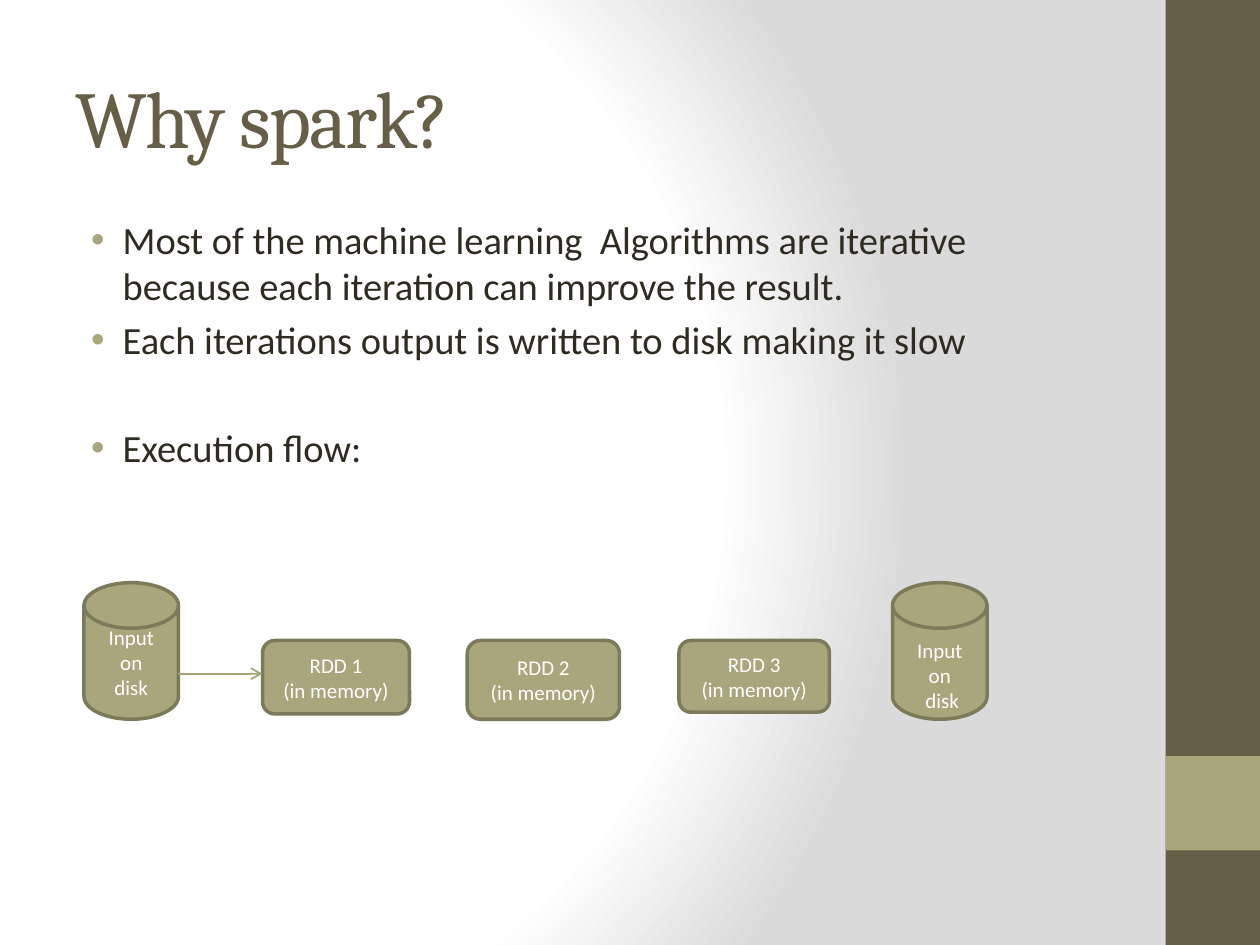
from lxml import etree
from pptx import Presentation
from pptx import util as u
from pptx.dml.color import RGBColor
from pptx.enum import shapes, text
from pptx.oxml import parse_xml
from pptx.oxml.ns import nsdecls, qn

BROWN, SAGE, EDGE, INK, WHITE = "675E47", "A9A57C", "7D7A5C", "2F2B20", "FFFFFF"


def color(value):
    return RGBColor.from_string(value)


def add_background(s):
    stops = "".join(
        f'<a:gs pos="{pos * 1000}"><a:srgbClr val="{c}"/></a:gs>'
        for pos, c in [(0, WHITE), (75, WHITE), (100, "DADADA")])
    bg = parse_xml(
        f'<p:bg {nsdecls("p", "a")}><p:bgPr><a:gradFill rotWithShape="1">'
        f'<a:gsLst>{stops}</a:gsLst><a:path path="circle">'
        '<a:fillToRect l="20000" t="50000" r="100000" b="50000"/></a:path>'
        '</a:gradFill><a:effectLst/></p:bgPr></p:bg>')
    s.element.cSld.insert(0, bg)


def style(p, name, size, c):
    for r in p.runs:
        r.font.name = name
        r.font.size = u.Pt(size)
        r.font.color.rgb = color(c)


def add_shape(s, kind, box, fill, line=None):
    sp = s.shapes.add_shape(kind, *map(u.Pt, box))
    sp.shadow.inherit = False
    sp.fill.solid()
    sp.fill.fore_color.rgb = color(fill)
    if line:
        sp.line.color.rgb = color(line)
        sp.line.width = u.Pt(2)
    else:
        sp.line.fill.background()
    return sp


def add_node(s, kind, box, lines, top_inset=3.6):
    sp = add_shape(s, kind, box, SAGE, EDGE)
    tf = sp.text_frame
    tf.word_wrap = True
    tf.margin_top = u.Pt(top_inset)
    tf.vertical_anchor = text.MSO_ANCHOR.MIDDLE
    tf.text = "\n".join(lines)
    for p in tf.paragraphs:
        p.alignment = text.PP_ALIGN.CENTER
        style(p, "Calibri", 12, WHITE)
    return sp


def add_title(s, title):
    tf = s.shapes.add_textbox(*map(u.Pt, (36, 21.6, 600, 90))).text_frame
    tf.word_wrap = True
    tf.vertical_anchor = text.MSO_ANCHOR.MIDDLE
    tf.text = title
    p = tf.paragraphs[0]
    style(p, "Cambria", 46, BROWN)
    p.runs[0].font._element.set("spc", "-100")


def add_bullets(s, items):
    tf = s.shapes.add_textbox(*map(u.Pt, (36, 120, 600, 378))).text_frame
    tf.word_wrap = True
    tf.text = "\n".join(line for line, _ in items)
    for p, (_, before) in zip(tf.paragraphs, items):
        pPr = p._p.get_or_add_pPr()
        pPr.set("marL", str(u.Pt(27)))
        pPr.set("indent", str(u.Pt(-18)))
        buClr = etree.SubElement(pPr, qn("a:buClr"))
        etree.SubElement(buClr, qn("a:srgbClr"), val=SAGE)
        etree.SubElement(pPr, qn("a:buFont"), typeface="Arial")
        etree.SubElement(pPr, qn("a:buChar"), char="•")
        p.space_before = u.Pt(before)
        style(p, "Calibri", 22, INK)


def add_arrow(s, x1, x2, y):
    cn = s.shapes.add_connector(
        shapes.MSO_CONNECTOR.STRAIGHT, *map(u.Pt, (x1, y, x2, y)))
    cn.line.color.rgb = color("A6A278")
    cn.line.width = u.Pt(1)
    etree.SubElement(cn.line._get_or_add_ln(), qn("a:tailEnd"), type="arrow")
    etree.SubElement(cn._element.spPr, qn("a:effectLst"))


def main():
    prs = Presentation()
    prs.slide_width, prs.slide_height = u.Pt(720), u.Pt(540)
    s = prs.slides.add_slide(prs.slide_layouts[6])
    kind = shapes.MSO_SHAPE

    add_background(s)
    add_shape(s, kind.RECTANGLE, (666, 0, 54, 540), BROWN)
    add_shape(s, kind.RECTANGLE, (666, 432, 54, 54), SAGE)
    add_title(s, "Why spark?")
    add_bullets(s, [
        ("Most of the machine learning  Algorithms are iterative "
         "because each iteration can improve the result.", 0),
        ("Each iterations output is written to disk making it slow", 4.4),
        ("Execution flow:", 35.3),
    ])

    disk = kind.FLOWCHART_MAGNETIC_DISK
    add_node(s, disk, (48, 333, 54, 78), ["Input on", "disk"])
    rdds = [(150, 84, 42), (267, 87, 45), (388, 86, 41)]
    for i, (x, w, h) in enumerate(rdds, 1):
        add_node(s, kind.ROUNDED_RECTANGLE, (x, 366, w, h),
                 [f"RDD {i}", "(in memory)"])
    add_arrow(s, 102, 150, 385)
    add_node(s, disk, (510, 333, 54, 78), ["Input on", " disk"], 18)

    prs.save("out.pptx")


if __name__ == "__main__":
    main()
